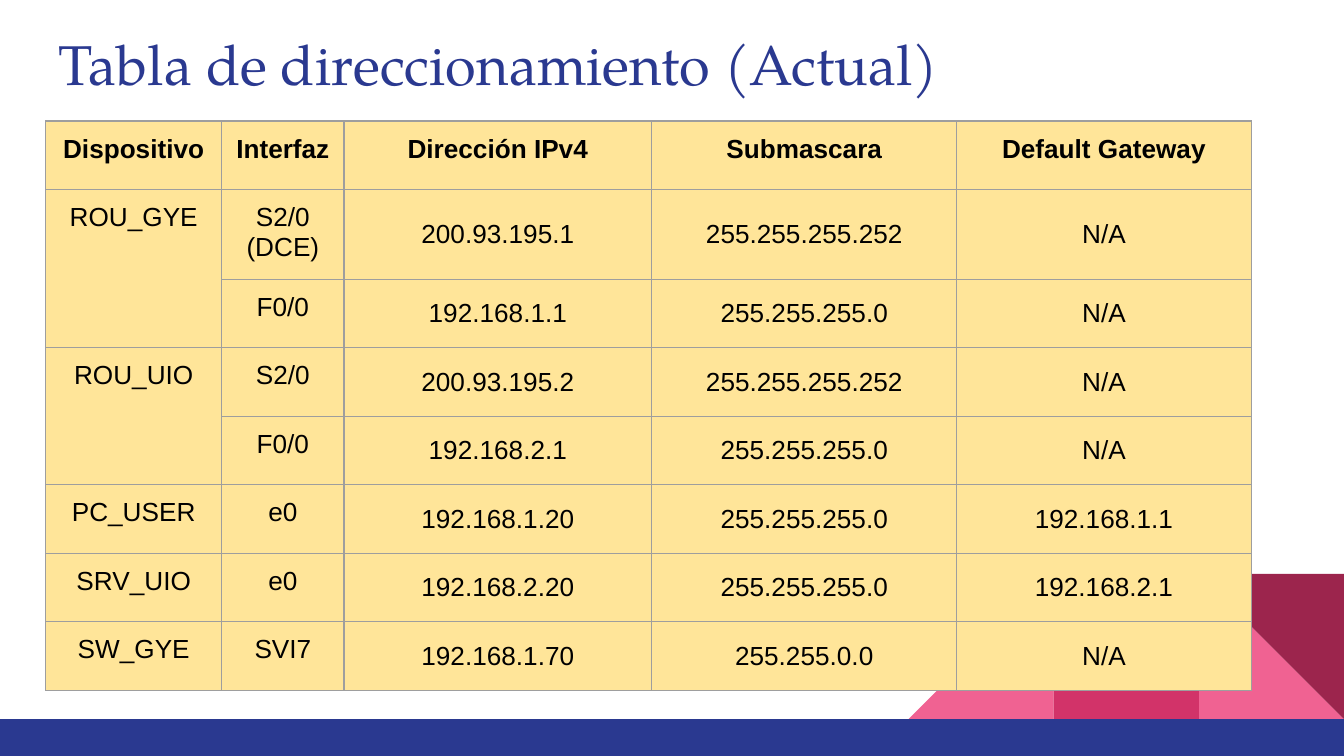
import pptx
import pptx.dml.color
import pptx.enum.shapes
import pptx.enum.text
import pptx.oxml
import pptx.oxml.ns
import pptx.util

Inches = pptx.util.Inches
Pt = pptx.util.Pt
Shape = pptx.enum.shapes.MSO_SHAPE
Anchor = pptx.enum.text.MSO_ANCHOR
Align = pptx.enum.text.PP_ALIGN

COLORS = {
    "navy": "2A3990",
    "pink": "F06292",
    "rose": "D23369",
    "wine": "9C254D",
    "sand": "FFE599",
    "gray": "9E9E9E",
    "black": "000000",
}
WIDTHS = [1.31, 0.91, 2.29, 2.27, 2.19]
HEIGHTS = [0.51, 0.63] + [0.51] * 6
# An empty device name continues the cell above
ROWS = [
    ["Dispositivo", "Interfaz", "Dirección IPv4", "Submascara", "Default Gateway"],
    ["ROU_GYE", "S2/0 (DCE)", "200.93.195.1", "255.255.255.252", "N/A"],
    ["", "F0/0", "192.168.1.1", "255.255.255.0", "N/A"],
    ["ROU_UIO", "S2/0", "200.93.195.2", "255.255.255.252", "N/A"],
    ["", "F0/0", "192.168.2.1", "255.255.255.0", "N/A"],
    ["PC_USER", "e0", "192.168.1.20", "255.255.255.0", "192.168.1.1"],
    ["SRV_UIO", "e0", "192.168.2.20", "255.255.255.0", "192.168.2.1"],
    ["SW_GYE", "SVI7", "192.168.1.70", "255.255.0.0", "N/A"],
]


def color(name):
    return pptx.dml.color.RGBColor.from_string(COLORS[name])


def add_block(slide, kind, box, fill, turn=0):
    shape = slide.shapes.add_shape(kind, *map(Inches, box))
    shape.shadow.inherit = False
    shape.fill.solid()
    shape.fill.fore_color.rgb = color(fill)
    shape.line.fill.background()
    shape.rotation = turn


def add_decor(slide, left, top, side):
    """Three square tiles; the last one is split along its diagonal."""
    tiles = [
        (Shape.RIGHT_TRIANGLE, 2, "pink", 0),
        (Shape.RIGHT_TRIANGLE, 0, "pink", 270),
        (Shape.RECTANGLE, 1, "rose", 0),
        (Shape.RIGHT_TRIANGLE, 2, "wine", 180),
    ]
    for kind, step, fill, turn in tiles:
        add_block(slide, kind, (left + step * side, top, side, side), fill, turn)


def add_title(slide, box, text):
    frame = slide.shapes.add_textbox(*map(Inches, box)).text_frame
    frame.word_wrap = True
    frame.vertical_anchor = Anchor.TOP
    frame.margin_left = frame.margin_right = Inches(0.1)
    frame.margin_top = frame.margin_bottom = Inches(0.1)
    frame.text = text
    font = frame.paragraphs[0].font
    font.name = "TeX Gyre Pagella"
    font.size = Pt(30)
    font.color.rgb = color("navy")


def add_borders(cell):
    props = cell._tc.get_or_add_tcPr()
    for side in ("lnL", "lnR", "lnT", "lnB"):
        props.append(pptx.oxml.parse_xml(
            f'<a:{side} {pptx.oxml.ns.nsdecls("a")} w="{Pt(0.75)}"><a:solidFill>'
            f'<a:srgbClr val="{COLORS["gray"]}"/></a:solidFill></a:{side}>'))


def style_cell(cell, text, bold, anchor):
    add_borders(cell)
    cell.fill.solid()
    cell.fill.fore_color.rgb = color("sand")
    cell.margin_left = cell.margin_right = Inches(0.1)
    cell.margin_top = cell.margin_bottom = Inches(0.1)
    cell.vertical_anchor = anchor
    cell.text = text
    para = cell.text_frame.paragraphs[0]
    para.alignment = Align.CENTER
    para.font.name = "Arial"
    para.font.size = Pt(14)
    para.font.bold = bold
    para.font.color.rgb = color("black")


def add_grid(slide, left, top):
    table = slide.shapes.add_table(
        len(ROWS), len(WIDTHS), Inches(left), Inches(top),
        Inches(sum(WIDTHS)), Inches(sum(HEIGHTS))).table
    table.horz_banding = False
    for col, width in zip(table.columns, WIDTHS):
        col.width = Inches(width)
    for r, (values, height) in enumerate(zip(ROWS, HEIGHTS)):
        table.rows[r].height = Inches(height)
        for c, text in enumerate(values):
            anchor = Anchor.MIDDLE if r and c > 1 else Anchor.TOP
            style_cell(table.cell(r, c), text, r == 0, anchor)
        if not values[0]:
            table.cell(r - 1, 0).merge(table.cell(r, 0))


def main():
    deck = pptx.Presentation()
    deck.slide_width = Inches(10)
    deck.slide_height = deck.slide_width * 9 // 16
    slide = deck.slides.add_slide(deck.slide_layouts[6])

    # Backdrop: corner tiles and bottom bar
    add_decor(slide, 6.76, 4.27, 1.08)
    add_block(slide, Shape.RECTANGLE, (0, 5.35, 10, 0.28), "navy")

    # Content
    add_title(slide, (0.34, 0.12, 9.32, 0.59), "Tabla de direccionamiento (Actual)")
    add_grid(slide, 0.34, 0.9)

    deck.save("out.pptx")


if __name__ == "__main__":
    main()
